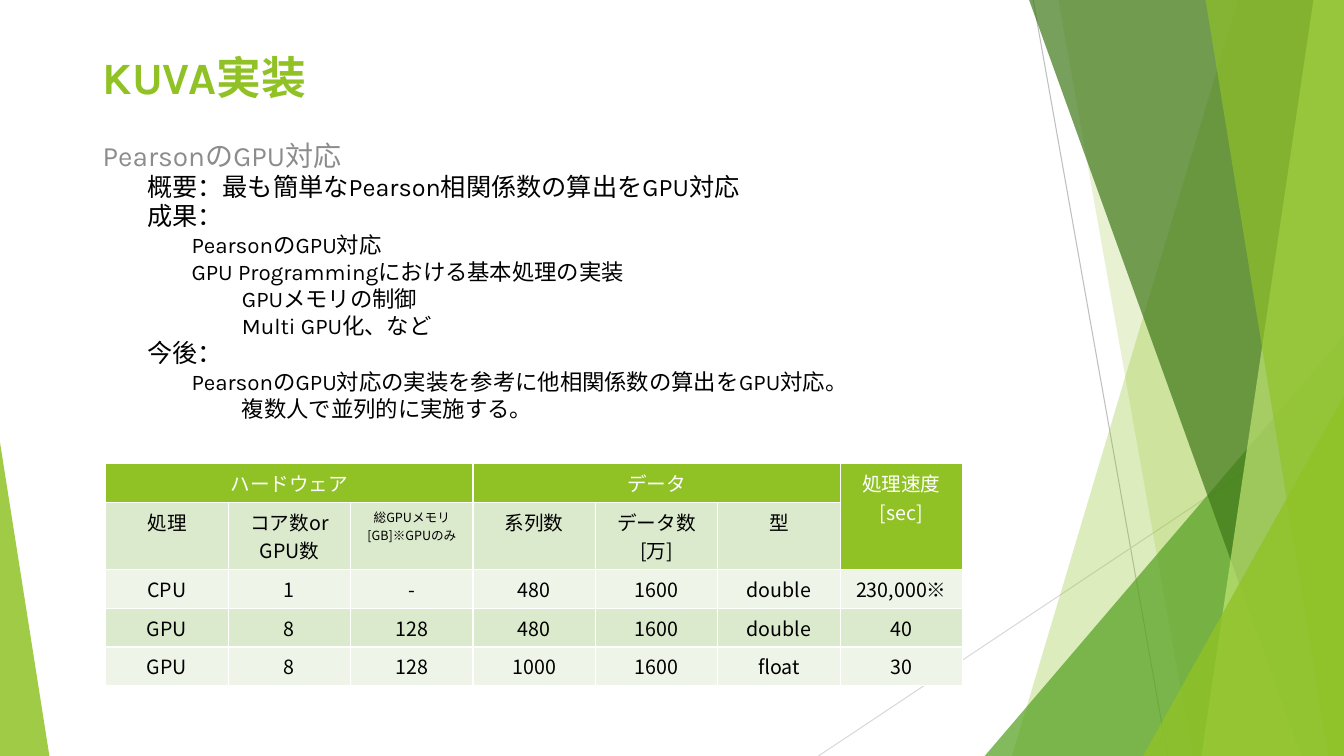
from dataclasses import dataclass

from lxml.etree import SubElement
from pptx import Presentation
from pptx.dml.color import RGBColor
from pptx.enum.shapes import MSO_CONNECTOR, MSO_SHAPE
from pptx.enum.text import MSO_ANCHOR, MSO_AUTO_SIZE, PP_ALIGN
from pptx.oxml.ns import qn
from pptx.util import Pt

W, H = 960, 540
LATIN, CJK = "Karla", "Noto Sans CJK JP"
COLORS = {
    "green": "90C226", "mid": "54A021", "dark": "3F7819", "pale": "C0E474",
    "line": "BFBFBF", "faint": "D9D9D9", "grey": "8C8C8C",
    "black": "000000", "white": "FFFFFF", "band": "DBE9CD", "light": "EEF4E8",
}


@dataclass
class Ray:
    x1: float
    y1: float
    x2: float
    y2: float
    color: str


@dataclass
class Facet:
    """Full-height panel from a slanted left edge to the right slide edge."""
    top_x: float
    bottom_x: float
    color: str
    alpha: int


@dataclass
class Corner:
    """Right triangle standing on the bottom slide edge."""
    x: float
    width: float
    height: float
    apex: int
    color: str
    alpha: int


@dataclass
class Level:
    margin: float
    indent: float
    size: float
    spacing: float
    color: str


RAYS = [Ray(738, 0, 834, H, "line"), Ray(W, 290, 584.6, H, "faint")]
PANELS = [
    Facet(884.2, 722.9, "green", 30),
    Facet(756, 851.8, "green", 20),
    Corner(703.4, 256.6, 300.2, 1, "mid", 72),
    Facet(735.1, 929.5, "dark", 70),
    Facet(938.2, 858.2, "pale", 70),
    Facet(861.1, 949, "green", 65),
    Corner(816.5, 143.5, 257, 1, "green", 80),
    Corner(0, 35.3, 224, 0, "green", 85),
]
LEVELS = [
    Level(0, 0, 20, 23, "grey"),
    Level(67.7, -36, 18, 20.8, "black"),
    Level(99.4, -36, 16, 19.3, "black"),
    Level(135.4, -36, 16, 19.3, "black"),
]
OUTLINE = [
    (0, "PearsonのGPU対応"),
    (1, "概要：最も簡単なPearson相関係数の算出をGPU対応"),
    (1, "成果："),
    (2, "PearsonのGPU対応"),
    (2, "GPU Programmingにおける基本処理の実装"),
    (3, "GPUメモリの制御"),
    (3, "Multi GPU化、など"),
    (1, "今後："),
    (2, "PearsonのGPU対応の実装を参考に他相関係数の算出をGPU対応。\n複数人で並列的に実施する。"),
]
RESULTS = [
    ["ハードウェア", "", "", "データ", "", "", "処理速度[sec]"],
    ["処理", "コア数or GPU数", "総GPUメモリ[GB]※GPUのみ", "系列数", "データ数[万]", "型", ""],
    ["CPU", "1", "-", "480", "1600", "double", "230,000※"],
    ["GPU", "8", "128", "480", "1600", "double", "40"],
    ["GPU", "8", "128", "1000", "1600", "float", "30"],
]
MERGES = [((0, 0), (0, 2)), ((0, 3), (0, 5)), ((0, 6), (1, 6))]
ROW_HEIGHTS = [27.5, 48, 27.5, 27.5, 27.5]


def rgb(name: str) -> RGBColor:
    return RGBColor.from_string(COLORS[name])


def add_run(p, text: str, size: float, color: str, latin: str, bold: bool = False) -> None:
    r = p.add_run()
    r.text = text
    r.font.size, r.font.bold, r.font.name = Pt(size), bold, latin
    r.font.color.rgb = rgb(color)
    SubElement(r.font._element, qn("a:ea"), typeface=CJK)


def add_ray(shapes, ray: Ray) -> None:
    ln = shapes.add_connector(MSO_CONNECTOR.STRAIGHT, Pt(ray.x1), Pt(ray.y1), Pt(ray.x2), Pt(ray.y2))
    ln.line.color.rgb, ln.line.width = rgb(ray.color), Pt(0.75)
    SubElement(ln._element.spPr, qn("a:effectLst"))


def add_panel(shapes, panel: Facet | Corner) -> None:
    if isinstance(panel, Facet):
        builder = shapes.build_freeform(Pt(panel.top_x), 0)
        builder.add_line_segments([(Pt(W), 0), (Pt(W), Pt(H)), (Pt(panel.bottom_x), Pt(H))])
        sp = builder.convert_to_shape()
    else:
        sp = shapes.add_shape(MSO_SHAPE.ISOSCELES_TRIANGLE, Pt(panel.x), Pt(H - panel.height),
                              Pt(panel.width), Pt(panel.height))
        sp.adjustments[0] = panel.apex
    sp.shadow.inherit = False
    sp.line.fill.background()
    sp.fill.solid()
    sp.fill.fore_color.rgb = rgb(panel.color)
    clr = sp._element.spPr.find(qn("a:solidFill"))[0]
    SubElement(clr, qn("a:alpha"), val=str(panel.alpha * 1000))


def place(sp, x: float, y: float, w: float, h: float, anchor: MSO_ANCHOR):
    """Move a placeholder, bring it to the front and return its text frame."""
    sp.left, sp.top, sp.width, sp.height = Pt(x), Pt(y), Pt(w), Pt(h)
    sp._element.getparent().append(sp._element)
    tf = sp.text_frame
    tf.word_wrap, tf.auto_size, tf.vertical_anchor = True, MSO_AUTO_SIZE.NONE, anchor
    return tf


def fill_title(sp) -> None:
    p = place(sp, 66.2, 31.7, 476, 69.8, MSO_ANCHOR.TOP).paragraphs[0]
    p.alignment, p.line_spacing = PP_ALIGN.LEFT, Pt(38.5)
    add_run(p, "KUVA実装", 32, "green", LATIN, bold=True)


def fill_outline(sp) -> None:
    tf = place(sp, 66.2, 69.1, 681.8, 262, MSO_ANCHOR.MIDDLE)
    tf.margin_top = Pt(4.8)
    for i, (depth, text) in enumerate(OUTLINE):
        level = LEVELS[depth]
        p = tf.paragraphs[0] if i == 0 else tf.add_paragraph()
        p.level, p.alignment = depth, PP_ALIGN.LEFT
        p.space_before, p.line_spacing = Pt(0), Pt(level.spacing)
        pPr = p._p.get_or_add_pPr()
        pPr.set("marL", str(Pt(level.margin)))
        pPr.set("indent", str(Pt(level.indent)))
        SubElement(pPr, qn("a:buNone"))
        for n, line in enumerate(text.split("\n")):
            if n:
                p.add_line_break()
            add_run(p, line, level.size, level.color, LATIN)


def set_borders(cell) -> None:
    tcPr = cell._tc.get_or_add_tcPr()
    for side in "LRTB":
        ln = SubElement(tcPr, qn(f"a:ln{side}"), w=str(Pt(1)))
        SubElement(SubElement(ln, qn("a:solidFill")), qn("a:srgbClr"), val=COLORS["white"])


def add_results(shapes) -> None:
    tbl = shapes.add_table(len(RESULTS), len(RESULTS[0]), Pt(75.6), Pt(331.2),
                           Pt(612), Pt(sum(ROW_HEIGHTS))).table
    for row, height in zip(tbl.rows, ROW_HEIGHTS):
        row.height = Pt(height)
    for i, texts in enumerate(RESULTS):
        for j, text in enumerate(texts):
            cell = tbl.cell(i, j)
            header = i == 0 or (i, j) == (1, 6)
            set_borders(cell)
            cell.fill.solid()
            cell.fill.fore_color.rgb = rgb("green" if header else "band" if i % 2 else "light")
            p = cell.text_frame.paragraphs[0]
            p.alignment = PP_ALIGN.CENTER
            if text:
                size = 9 if (i, j) == (1, 2) else 14
                add_run(p, text, size, "white" if header else "black", CJK)
    for first, last in MERGES:
        tbl.cell(*first).merge(tbl.cell(*last))


def main() -> None:
    prs = Presentation()
    prs.slide_width, prs.slide_height = Pt(W), Pt(H)
    s = prs.slides.add_slide(prs.slide_layouts[1])
    for ray in RAYS:
        add_ray(s.shapes, ray)
    for panel in PANELS:
        add_panel(s.shapes, panel)
    fill_title(s.shapes.title)
    fill_outline(s.placeholders[1])
    add_results(s.shapes)
    prs.save("out.pptx")


if __name__ == "__main__":
    main()
